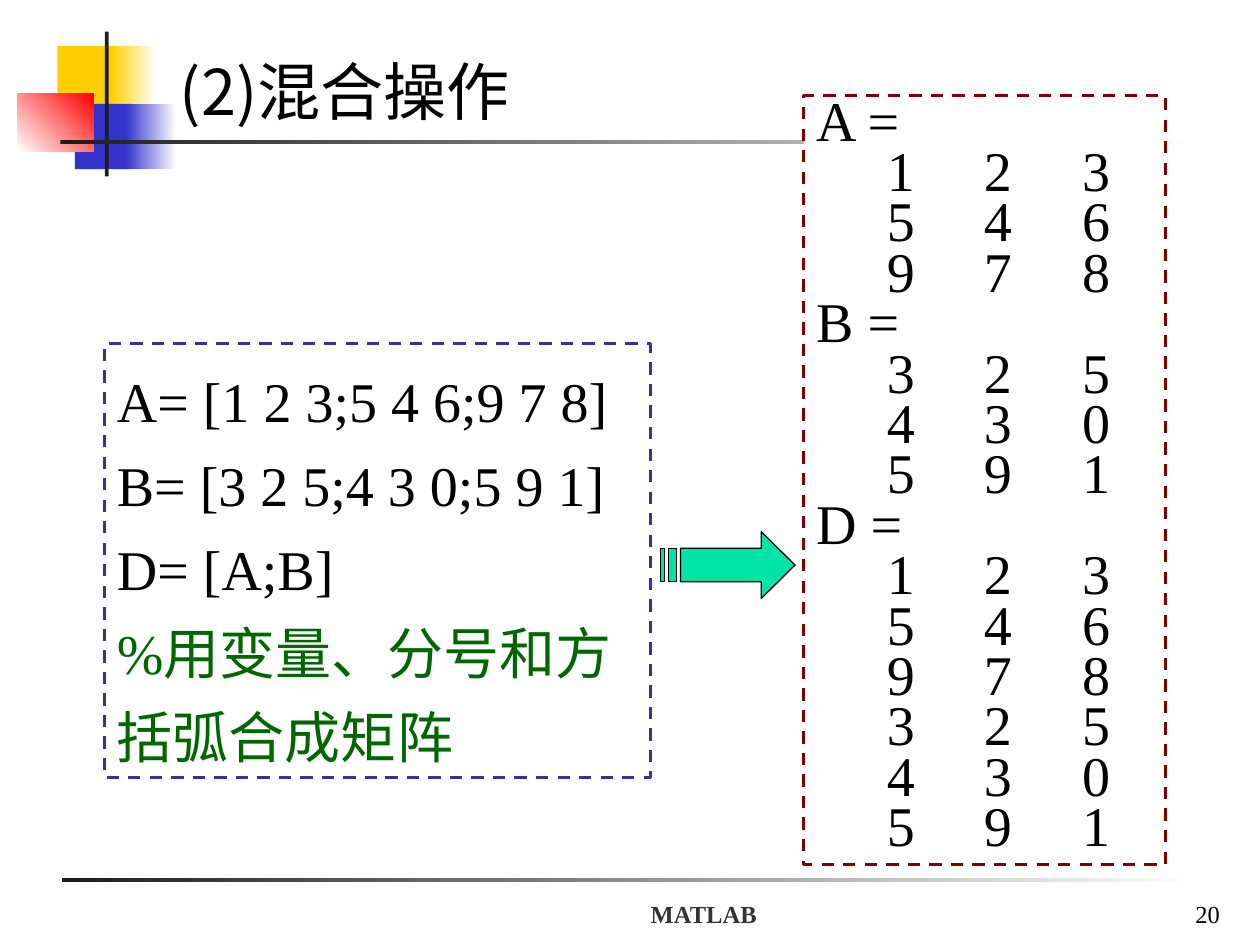
from lxml import etree
from pptx import Presentation
from pptx.dml.color import RGBColor as RGB
from pptx.enum.dml import MSO_LINE as Dash
from pptx.enum.shapes import MSO_SHAPE as Kind
from pptx.enum.text import MSO_ANCHOR as Anchor, PP_ALIGN as Align
from pptx.oxml.ns import qn
from pptx.util import Inches, Pt

HUES = {
    "white": "FFFFFF", "black": "000000", "ink": "1C1C1C", "grey": "333333",
    "gold": "FFCF01", "blue": "3333CC", "red": "FF0000", "navy": "333399",
    "maroon": "800000", "green": "006600", "mint": "00E4A8",
}
SERIF, SANS = "Times New Roman", "Noto Sans CJK SC"
CELL = Inches(0.1)  # the slide is a grid of 100 columns by 75 rows
TABS = (5.6, 13.3, 21.1)  # matrix columns, in grid columns

deck = Presentation()
deck.slide_width, deck.slide_height = 100 * CELL, 75 * CELL
slide = deck.slides.add_slide(deck.slide_layouts[6])
shapes = slide.shapes


def hue(name):
    return RGB.from_string(HUES[name])


def cells(*nums):
    return [round(num * CELL) for num in nums]


def part(box, x, y, w, h):
    """Turn shares of a box into a box on the grid."""
    left, top, wide, high = box
    return left + x * wide, top + y * high, w * wide, h * high


def rect(box, fill, fade=None, angle=0, edge=None):
    shape = shapes.add_shape(Kind.RECTANGLE, *cells(*box))
    shape.shadow.inherit = False
    if fade:
        shape.fill.gradient()
        shape.fill.gradient_angle = angle
        for stop, name in zip(shape.fill.gradient_stops, (fill, fade)):
            stop.color.rgb = hue(name)
    else:
        shape.fill.solid()
        shape.fill.fore_color.rgb = hue(fill)
    if edge:
        shape.line.color.rgb = hue(edge)
        shape.line.width = Pt(1.75)
        shape.line.dash_style = Dash.DASH
    else:
        shape.line.fill.background()
    return shape


def write(shape, rows, size, font=SERIF, color="black", bold=False,
          align=Align.LEFT, anchor=Anchor.TOP, space=None, tabs=()):
    """Fill a shape with rows; a row is text or a (text, color) pair."""
    frame = shape.text_frame
    frame.word_wrap = True
    frame.vertical_anchor = anchor
    for num, row in enumerate(rows):
        text, tint = row if isinstance(row, tuple) else (row, color)
        para = frame.add_paragraph() if num else frame.paragraphs[0]
        para.alignment = align
        if space:
            para.line_spacing = Pt(space)
        if tabs:
            stops = etree.SubElement(para._p.get_or_add_pPr(), qn("a:tabLst"))
            for pos in cells(*tabs):
                etree.SubElement(stops, qn("a:tab"), pos=str(pos), algn="l")
        run = para.add_run()
        run.text = text
        run.font.size, run.font.bold, run.font.name = Pt(size), bold, font
        run.font.color.rgb = hue(tint)
        etree.SubElement(run._r.get_or_add_rPr(), qn("a:ea"), typeface=SANS)


def label(box, text, size, **form):
    write(shapes.add_textbox(*cells(*box)), [text], size, **form)


def badge(box):
    # Colour blocks, then the upright bar
    rect(part(box, 0.25, 0.1, 0.38, 0.45), "gold")
    rect(part(box, 0.59, 0.1, 0.28, 0.45), "gold", "white")
    rect(part(box, 0.36, 0.5, 0.36, 0.45), "blue")
    rect(part(box, 0.68, 0.5, 0.32, 0.45), "blue", "white")
    rect(part(box, 0, 0.43, 0.48, 0.4), "white", "red", angle=45)
    rect(part(box, 0.55, 0, 0.024, 1), "ink")


def footer(box):
    rect(part(box, 0, 0, 0.97, 0.06), "ink", "white")
    form = dict(anchor=Anchor.BOTTOM)
    label(part(box, 0.378, -0.1, 0.341, 1), "MATLAB", 14, color="grey",
          bold=True, align=Align.CENTER, **form)
    label(part(box, 0.776, -0.1, 0.224, 1), "20", 14, align=Align.RIGHT, **form)


def code(box):
    rows = ["A= [1 2 3;5 4 6;9 7 8]", "B= [3 2 5;4 3 0;5 9 1]", "D= [A;B]",
            ("%用变量、分号和方括弧合成矩阵", "green")]
    write(rect(box, "white", edge="navy"), rows, 32, space=48)


def arrow(box):
    # Arrow, followed by the two bars of its tail
    outlines = [
        [(0.75, 0), (0.75, 0.25), (0.15, 0.25), (0.15, 0.75),
         (0.75, 0.75), (0.75, 1), (1, 0.5)],
        *([(x, 0.25), (x, 0.75), (end, 0.75), (end, 0.25)]
          for x, end in ((0.06, 0.12), (0, 0.03))),
    ]
    pen = None
    for line in outlines:
        dots = [cells(*part(box, x, y, 0, 0)[:2]) for x, y in line]
        if pen:
            pen.move_to(*dots[0])
        else:
            pen = shapes.build_freeform(*dots[0])
        pen.add_line_segments(dots[1:], close=True)
    shape = pen.convert_to_shape()
    shape.shadow.inherit = False
    shape.fill.solid()
    shape.fill.fore_color.rgb = hue("mint")
    shape.line.color.rgb = hue("black")
    shape.line.width = Pt(0.75)


def result(box):
    a, b = ["123", "546", "978"], ["325", "430", "591"]
    rows = []
    for name, grid in (("A", a), ("B", b), ("D", a + b)):
        rows.append(f"{name} =")
        rows += ["\t" + "\t".join(line) for line in grid]
    write(rect(box, "white", edge="maroon"), rows, 32, space=28.8, tabs=TABS)


# Frame of the slide
badge((1.4, 2.5, 12.6, 11.5))
rect((4.8, 11.1, 90, 0.3), "ink", "white")
footer((4.9, 69.7, 92.9, 5))

# Content
code((8.3, 27.3, 43.3, 34.4))
arrow((52.4, 42.2, 10.7, 5.3))
result((63.8, 7.6, 28.7, 61))
label((13.3, 3.3, 86.7, 7), "(2)混合操作", 36, font=SANS, space=46)

deck.save("out.pptx")
